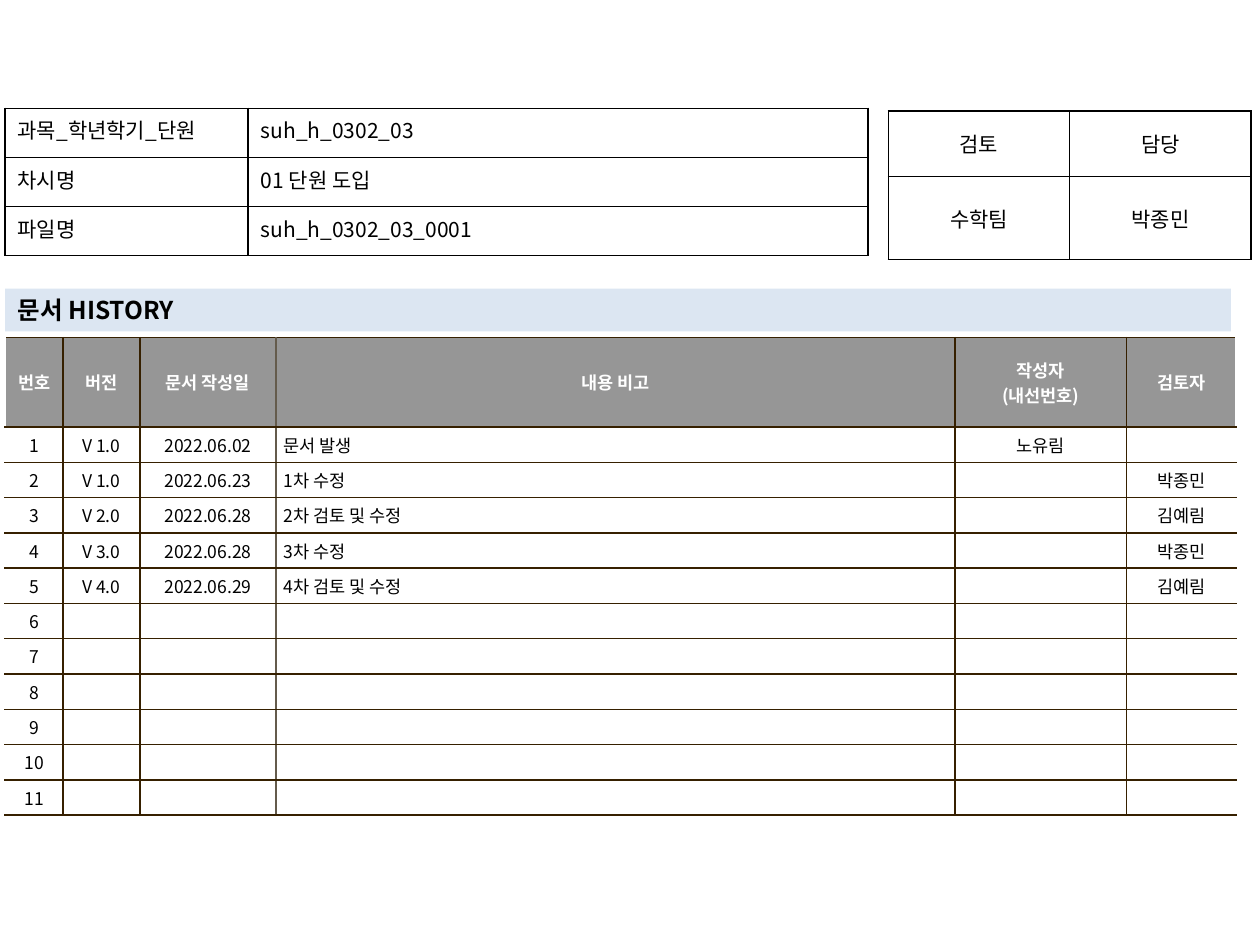
from dataclasses import dataclass

from lxml.etree import SubElement
from pptx import Presentation
from pptx.dml.color import RGBColor
from pptx.enum.text import MSO_ANCHOR, MSO_AUTO_SIZE, PP_ALIGN
from pptx.oxml import parse_xml
from pptx.oxml.ns import nsdecls, qn
from pptx.util import Inches, Pt


@dataclass(frozen=True)
class Theme:
    font: str = "Noto Sans CJK KR"
    ink: str = "000000"
    paper: str = "FFFFFF"
    header: str = "969696"
    band: str = "DCE6F2"
    rule: str = "362000"
    soft_rule: str = "645B4C"
    title_size: int = 14
    form_size: int = 12
    history_size: int = 10


@dataclass(frozen=True)
class CellStyle:
    size: int
    color: str
    bold: bool = False
    fill: str = ""
    align: PP_ALIGN = PP_ALIGN.LEFT
    anchor: MSO_ANCHOR = MSO_ANCHOR.MIDDLE
    inset: tuple = (0.1, 0.05)


class SlideBuilder:
    def __init__(self, page, theme):
        self.page = page
        self.theme = theme

    def add_text(self, para, text, size, color, bold=False):
        span = para.add_run()
        span.text = text
        span.font.name = self.theme.font
        span.font.size = Pt(size)
        span.font.bold = bold
        span.font.color.rgb = RGBColor.from_string(color)
        SubElement(span.font._element, qn("a:ea"), typeface=self.theme.font)

    def place_title(self, text, left, top, width, height):
        title = self.page.shapes.title
        title.left, title.top = Inches(left), Inches(top)
        title.width, title.height = Inches(width), Inches(height)
        title.fill.solid()
        title.fill.fore_color.rgb = RGBColor.from_string(self.theme.band)
        frame = title.text_frame
        frame.auto_size = MSO_AUTO_SIZE.NONE
        frame.word_wrap = True
        frame.vertical_anchor = MSO_ANCHOR.MIDDLE
        para = frame.paragraphs[0]
        para.alignment = PP_ALIGN.LEFT
        self.add_text(para, text, self.theme.title_size, self.theme.ink, True)

    def add_table(self, left, top, widths, heights, rows, style_of, borders_of):
        frame = self.page.shapes.add_table(
            len(heights), len(widths), Inches(left), Inches(top),
            Inches(sum(widths)), Inches(sum(heights)))
        table = frame.table
        table.first_row = False
        table.horz_banding = False
        for column, width in zip(table.columns, widths):
            column.width = Inches(width)
        for row, height in zip(table.rows, heights):
            row.height = Inches(height)
        for row_index, values in enumerate(rows):
            for column_index, text in enumerate(values):
                cell = table.cell(row_index, column_index)
                self.fill_cell(cell, text, style_of(row_index, column_index))
                self.draw_borders(cell, borders_of(column_index))

    def fill_cell(self, cell, text, style):
        side, edge = style.inset
        cell.margin_left = cell.margin_right = Inches(side)
        cell.margin_top = cell.margin_bottom = Inches(edge)
        cell.vertical_anchor = style.anchor
        if style.fill:
            cell.fill.solid()
            cell.fill.fore_color.rgb = RGBColor.from_string(style.fill)
        else:
            cell.fill.background()
        frame = cell.text_frame
        for index, line in enumerate(text.split("\n")):
            para = frame.add_paragraph() if index else frame.paragraphs[0]
            para.alignment = style.align
            if line:
                self.add_text(para, line, style.size, style.color, style.bold)
            else:
                SubElement(para._p, qn("a:endParaRPr"), sz=str(style.size * 100))

    def draw_borders(self, cell, borders):
        properties = cell._tc.get_or_add_tcPr()
        for index, (side, color) in enumerate(borders.items()):
            properties.insert(index, parse_xml(
                f'<a:ln{side} {nsdecls("a")} w="{Pt(1)}"><a:solidFill>'
                f'<a:srgbClr val="{color}"/></a:solidFill></a:ln{side}>'))


def main():
    theme = Theme()
    deck = Presentation()
    deck.slide_width, deck.slide_height = Inches(10), Inches(7.5)
    page = deck.slides.add_slide(deck.slide_layouts[5])
    builder = SlideBuilder(page, theme)
    left = 0.04

    history = [
        ["번호", "버전", "문서 작성일", "내용 비고", "작성자\n(내선번호)", "검토자"],
        ["1", "V 1.0", "2022.06.02", "문서 발생", "노유림", ""],
        ["2", "V 1.0", "2022.06.23", "1차 수정", "", "박종민"],
        ["3", "V 2.0", "2022.06.28", "2차 검토 및 수정", "", "김예림"],
        ["4", "V 3.0", "2022.06.28", "3차 수정", "", "박종민"],
        ["5", "V 4.0", "2022.06.29", "4차 검토 및 수정", "", "김예림"],
    ]
    history += [[str(number)] + [""] * 5 for number in range(6, 12)]
    history_widths = [0.46, 0.61, 1.08, 5.39, 1.36, 0.87]
    note_column = 3
    last_column = len(history_widths) - 1

    def history_style(row, column):
        is_header = row == 0
        is_note = column == note_column and not is_header
        return CellStyle(
            theme.history_size,
            theme.paper if is_header else theme.ink,
            bold=is_header,
            fill=theme.header if is_header else theme.paper,
            align=PP_ALIGN.LEFT if is_note else PP_ALIGN.CENTER,
            inset=(0.06, 0.04))

    def history_borders(column):
        borders = {}
        if column > 0:
            borders["L"] = theme.soft_rule if column == note_column else theme.rule
        if column < last_column:
            borders["R"] = theme.soft_rule if column + 1 == note_column else theme.rule
        return {**borders, "T": theme.rule, "B": theme.rule}

    def form_borders(column):
        return dict.fromkeys("LRTB", theme.ink)

    def approval_style(row, column):
        return CellStyle(theme.form_size, theme.ink, align=PP_ALIGN.CENTER)

    def file_style(row, column):
        return CellStyle(
            theme.form_size, theme.ink, anchor=MSO_ANCHOR.TOP,
            align=PP_ALIGN.LEFT if column else PP_ALIGN.JUSTIFY)

    builder.place_title("문서 HISTORY", left, 2.29, 9.73, 0.34)
    builder.add_table(left, 2.68, history_widths, [0.71] + [0.28] * 11,
                      history, history_style, history_borders)
    builder.add_table(7.05, 0.88, [1.44] * 2, [0.52, 0.66],
                      [["검토", "담당"], ["수학팀", "박종민"]],
                      approval_style, form_borders)
    builder.add_table(left, 0.86, [1.93, 4.92], [0.39] * 3,
                      [["과목_학년학기_단원", "suh_h_0302_03"],
                       ["차시명", "01 단원 도입"],
                       ["파일명", "suh_h_0302_03_0001"]],
                      file_style, form_borders)
    deck.save("out.pptx")


if __name__ == "__main__":
    main()
